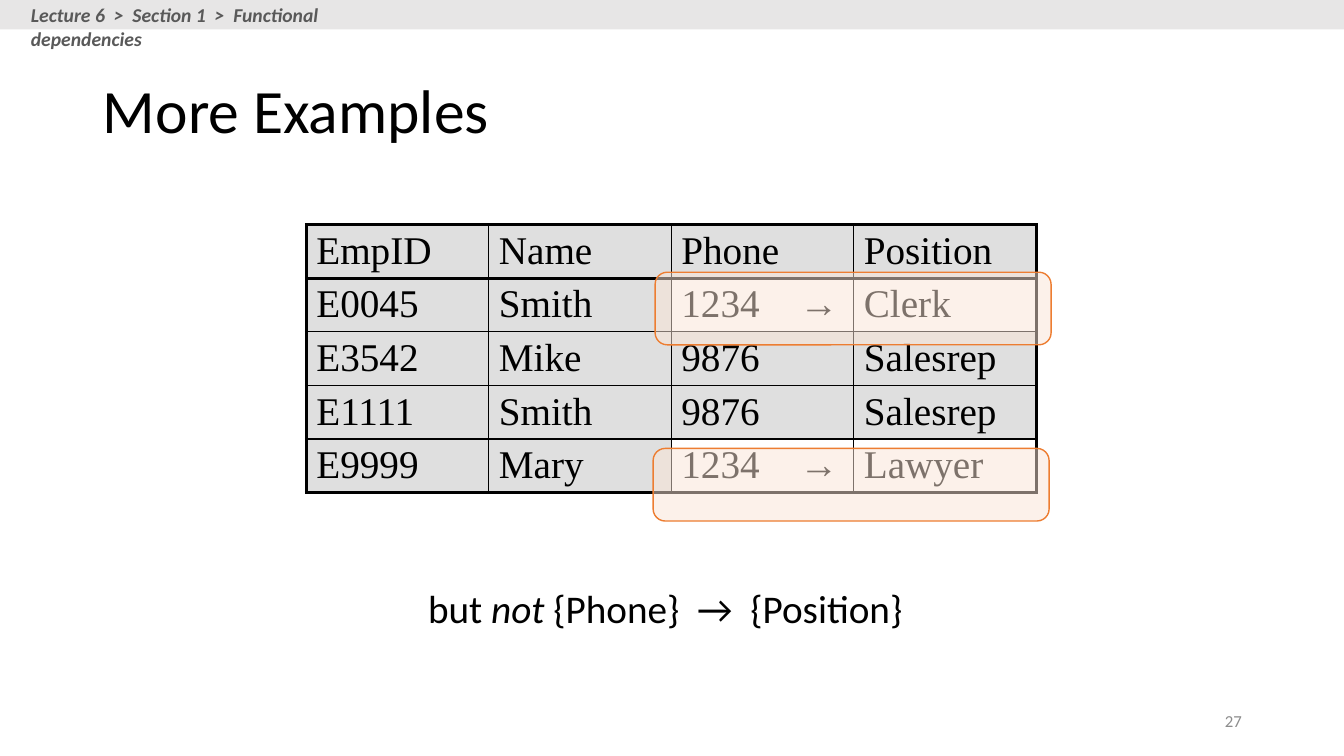
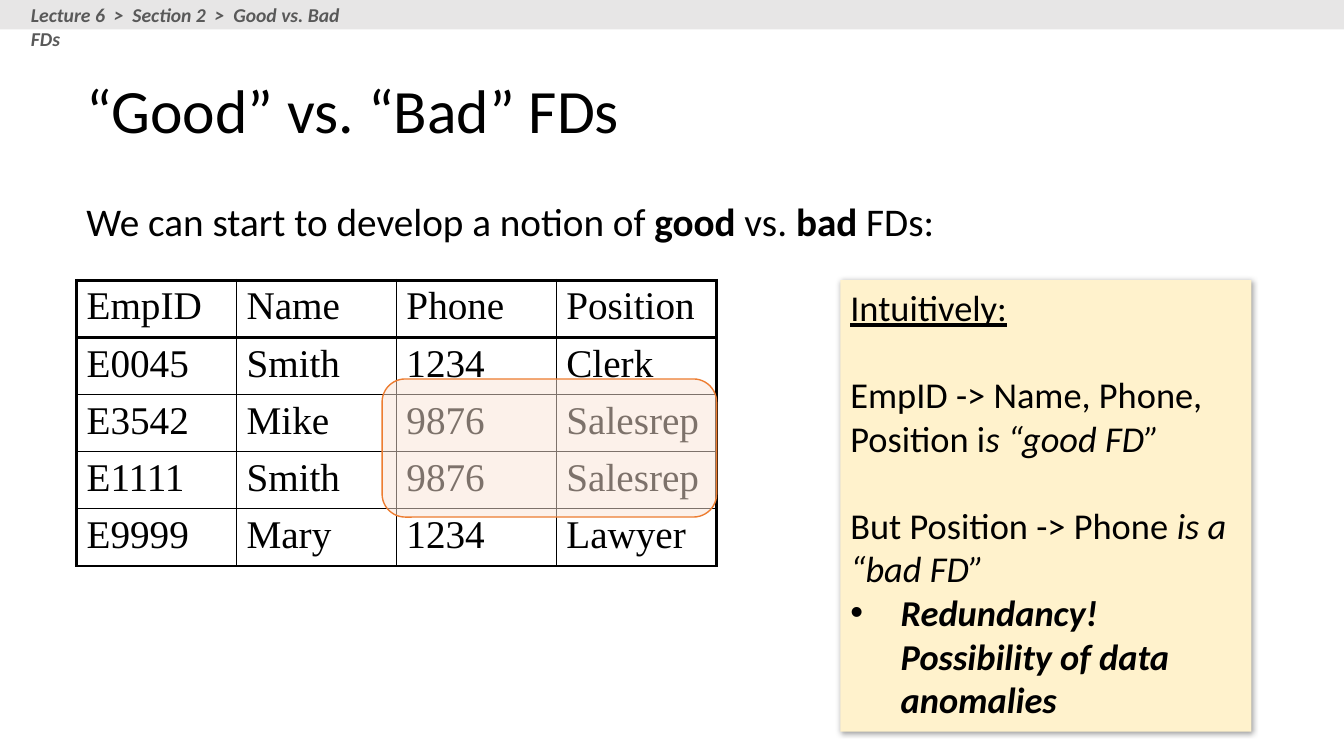
from lxml import etree
from pptx import Presentation, util as u
from pptx.dml.color import RGBColor
from pptx.enum import shapes, text
from pptx.oxml import parse_xml
from pptx.oxml.ns import nsdecls, qn

HUE = {"ink": "000000", "band": "E7E6E6", "crumb": "595959", "page": "8C8C8C",
       "cell": "DFDFDF", "plain": "FFFFFF", "ring": "ED7D31", "glow": "FBE5D6",
       "note": "FFF2CC"}
BODY = {"name": "Calibri", "size": u.Pt(28), "color": "ink"}
HEAD = {**BODY, "size": u.Pt(44)}
CELL = {**BODY, "name": "Times New Roman"}
NOTE = {**BODY, "size": u.Pt(26)}
CRUMB = {**BODY, "size": u.Pt(14), "color": "crumb", "bold": True, "italic": True}
PAGE = {**BODY, "size": u.Pt(12), "color": "page"}
LEFT, RIGHT = text.PP_ALIGN.LEFT, text.PP_ALIGN.RIGHT
MID = text.MSO_ANCHOR.MIDDLE


def write(para, runs, look):
    for words, extra in runs:
        run = para.add_run()
        run.text = words
        for key, val in {**look, **extra}.items():
            if key == "color":
                run.font.color.rgb = RGBColor.from_string(HUE[val])
            else:
                setattr(run.font, key, val)


def block(slide, kind, spot, fill=None, line=None):
    place = [u.Cm(n) for n in spot]
    if kind is None:
        shape = slide.shapes.add_textbox(*place)
    else:
        shape = slide.shapes.add_shape(kind, *place)
        shape.shadow.inherit = False
        shape.fill.solid()
        shape.fill.fore_color.rgb = RGBColor.from_string(HUE[fill])
        if line:
            shape.line.color.rgb = RGBColor.from_string(HUE[line])
            shape.line.width = u.Pt(1)
        else:
            shape.line.fill.background()
    shape.text_frame.word_wrap = True
    return shape


ROWS = [["EmpID", "Name", "Phone", "Position"],
        ["E0045", "Smith", "1234", "Clerk"],
        ["E3542", "Mike", "9876", "Salesrep"],
        ["E1111", "Smith", "9876", "Salesrep"],
        ["E9999", "Mary", "1234", "Lawyer"]]

PAGES = [
    {"crumb": "Lecture 6  >  Section 1  >  Functional dependencies",
     "title": "More Examples", "left": 2.34, "page": "27",
     "grid": (7.72, 5.66, 4.6, 1.35), "shade": "cell", "arrow": (1, 4),
     "text": (10.54, 14.6, 14, 1.45),
     "runs": [("but ", {}), ("not ", {"italic": True}),
              ("{Phone}  →  {Position}", {})],
     "rings": [(16.51, 6.86, 9.98, 1.83), (16.46, 11.3, 9.98, 1.83)],
     "note": []},
    {"crumb": "Lecture 6  >  Section 2  >  Good vs. Bad FDs",
     "title": "“Good” vs. “Bad” FDs", "left": 1.93, "page": None,
     "grid": (1.93, 7.06, 4.03, 1.44), "shade": "plain", "arrow": (),
     "text": (1.93, 4.85, 23, 1.45),
     "runs": [("We can start to develop a notion of ", {}),
              ("good ", {"bold": True}), ("vs. ", {}),
              ("bad", {"bold": True}), (" FDs:", {})],
     "rings": [(9.63, 9.55, 8.43, 3.48)],
     "note": [
         [("Intuitively:", {"underline": True})],
         [("EmpID -> Name, Phone, Position i", {}), ("s “good FD”", {"italic": True})],
         [("But Position -> Phone ", {}), ("is a “bad FD”", {"italic": True})],
         [("Redundancy!  Possibility of data anomalies",
           {"bold": True, "italic": True})]]},
]

deck = Presentation()
deck.slide_width, deck.slide_height = u.Cm(33.87), u.Cm(19.05)

for page in PAGES:
    slide = deck.slides.add_slide(deck.slide_layouts[5])

    title = slide.shapes.title
    spot = {"left": page["left"], "top": 1.02, "width": 29.3, "height": 3.68}
    for key, val in spot.items():
        setattr(title, key, u.Cm(val))
    title.text_frame.vertical_anchor = MID
    para = title.text_frame.paragraphs[0]
    para.alignment = LEFT
    para.line_spacing = 0.9
    write(para, [(page["title"], {})], HEAD)

    if page["page"]:
        num = block(slide, None, (23.93, 17.65, 7.62, 1.02))
        num.text_frame.vertical_anchor = MID
        para = num.text_frame.paragraphs[0]
        para.alignment = RIGHT
        write(para, [(page["page"], {})], PAGE)

    lead = block(slide, None, page["text"])
    write(lead.text_frame.paragraphs[0], page["runs"], BODY)

    left, top, wide, high = page["grid"]
    rows, cols = len(ROWS), len(ROWS[0])
    frame = slide.shapes.add_table(rows, cols, u.Cm(left), u.Cm(top),
                                   u.Cm(wide * cols), u.Cm(high * rows))
    table = frame.table
    table.first_row = table.horz_banding = False
    for col in table.columns:
        col.width = u.Cm(wide)
    for r, row in enumerate(ROWS):
        table.rows[r].height = u.Cm(high)
        for c, word in enumerate(row):
            cell = table.cell(r, c)
            cell.margin_top, cell.margin_bottom = u.Cm(0.12), u.Cm(0.03)
            marked = r in page["arrow"] and c >= 2
            cell.fill.solid()
            shade = HUE["plain" if marked else page["shade"]]
            cell.fill.fore_color.rgb = RGBColor.from_string(shade)
            para = cell.text_frame.paragraphs[0]
            if marked and c == 2:
                word += "\t→"
                tabs = etree.SubElement(para._p.get_or_add_pPr(), qn("a:tabLst"))
                etree.SubElement(tabs, qn("a:tab"), pos=str(u.Cm(2.97)), algn="l")
            write(para, [(word, {})], CELL)
            thick = {"L": c == 0, "R": c == cols - 1, "T": r < 2,
                     "B": r in (0, rows - 1)}
            for i, (side, bold) in enumerate(thick.items()):
                cell._tc.get_or_add_tcPr().insert(i, parse_xml(
                    f'<a:ln{side} {nsdecls("a")} w="{u.Pt(2.25 if bold else 1)}">'
                    f'<a:solidFill><a:srgbClr val="{HUE["ink"]}"/></a:solidFill>'
                    f'</a:ln{side}>'))

    if page["note"]:
        note = block(slide, shapes.MSO_SHAPE.RECTANGLE,
                     (21.18, 7.06, 10.36, 11.38), "note")
        cast = etree.SubElement(
            note._element.spPr.find(qn("a:effectLst")), qn("a:outerShdw"),
            blurRad=str(u.Pt(4)), dist=str(u.Pt(1)), dir="2700000")
        tone = etree.SubElement(cast, qn("a:srgbClr"), val=HUE["ink"])
        etree.SubElement(tone, qn("a:alpha"), val="40000")
        body = note.text_frame
        body.vertical_anchor = text.MSO_ANCHOR.TOP
        for i, runs in enumerate(page["note"]):
            para = body.add_paragraph() if i else body.paragraphs[0]
            para.alignment = LEFT
            if i in (1, 2):
                para.space_before = u.Pt(31)
            write(para, runs, NOTE)
        props = para._p.get_or_add_pPr()
        props.set("marL", str(u.Cm(1.27)))
        props.set("indent", str(u.Cm(-1.27)))
        etree.SubElement(props, qn("a:buFont"), typeface="Arial")
        etree.SubElement(props, qn("a:buChar"), char="•")

    for spot in page["rings"]:
        ring = block(slide, shapes.MSO_SHAPE.ROUNDED_RECTANGLE, spot, "glow", "ring")
        tone = ring._element.spPr.find(qn("a:solidFill"))[0]
        etree.SubElement(tone, qn("a:alpha"), val="50000")

    block(slide, shapes.MSO_SHAPE.RECTANGLE, (0, 0, 33.87, 0.74), "band")
    crumb = block(slide, None, (0.53, -0.05, 8.64, 1.45))
    write(crumb.text_frame.paragraphs[0], [(page["crumb"], {})], CRUMB)

deck.save("out.pptx")
